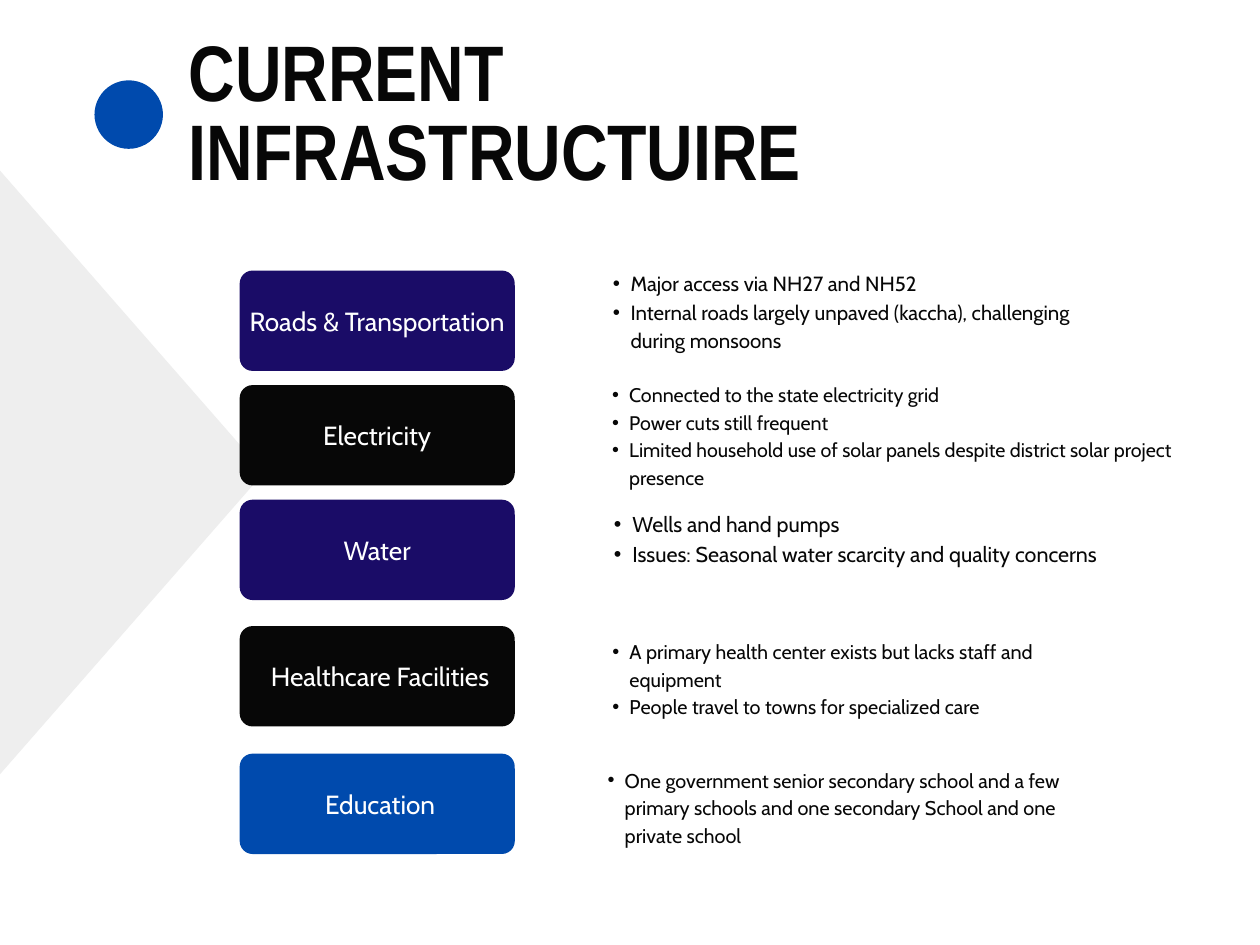
from dataclasses import dataclass

from lxml import etree
from pptx import Presentation
from pptx.dml.color import RGBColor
from pptx.enum.shapes import MSO_SHAPE
from pptx.enum.text import MSO_ANCHOR, PP_ALIGN
from pptx.oxml.ns import qn
from pptx.util import Pt

PX = 9144  # EMU per px, 100 px to the inch
SLIDE_WIDTH, SLIDE_HEIGHT = 1067, 800
ROUNDED, OVAL = MSO_SHAPE.ROUNDED_RECTANGLE, MSO_SHAPE.OVAL
MIDDLE, TOP = MSO_ANCHOR.MIDDLE, MSO_ANCHOR.TOP
CENTER, LEFT = PP_ALIGN.CENTER, PP_ALIGN.LEFT


@dataclass(frozen=True)
class Theme:
    ink: str = "070707"
    white: str = "FFFFFF"
    navy: str = "1A0C67"
    blue: str = "004AAD"
    pale: str = "EEEEEE"
    title_font: str = "Arial Narrow"
    body_font: str = "Cabin"
    title_size: float = 48
    label_size: float = 16
    label_leading: float = 1.2
    detail_leading: float = 1.4
    indent_per_point: float = 2.4  # px


THEME = Theme()
CARD_LEFT, CARD_WIDTH, CARD_HEIGHT, CARD_RADIUS = 203, 233, 85, 11

# label, label shift, fill, card top, detail box, detail size, details
TOPICS = [
    ("Roads & Transportation", 0, THEME.navy, 229, (504, 226, 434, 75), 12.5,
     ["Major access via NH27 and NH52",
      "Internal roads largely unpaved (kaccha), challenging during monsoons"]),
    ("Electricity", 0, THEME.ink, 326, (504, 321, 544, 90), 12,
     ["Connected to the state electricity grid",
      "Power cuts still frequent",
      "Limited household use of solar panels despite district solar project presence"]),
    ("Water", 0, THEME.navy, 423, (504, 429, 442, 76), 13.1,
     ["Wells and hand pumps",
      "Issues: Seasonal water scarcity and quality concerns"]),
    ("Healthcare Facilities", 5, THEME.ink, 530, (504, 538, 442, 67), 12.1,
     ["A primary health center exists but lacks staff and equipment",
      "People travel to towns for specialized care"]),
    ("Education", 5, THEME.blue, 638, (500, 647, 442, 90), 12.1,
     ["One government senior secondary school and a few primary schools "
      "and one secondary School and one private school"]),
]


def emu(box):
    return [round(length * PX) for length in box]


def paint(shape, color):
    shape.shadow.inherit = False
    shape.fill.solid()
    shape.fill.fore_color.rgb = RGBColor.from_string(color)
    shape.line.fill.background()


def set_frame(frame, anchor, left, top, right, bottom):
    formats = {"word_wrap": True, "vertical_anchor": anchor,
               "margin_left": left * PX, "margin_top": top * PX,
               "margin_right": right * PX, "margin_bottom": bottom * PX}
    for name, value in formats.items():
        setattr(frame, name, value)


def write(paragraph, text, leading, color, align=LEFT, **font_format):
    paragraph.alignment = align
    paragraph.line_spacing = Pt(leading)
    run = paragraph.add_run()
    run.text = text
    for name, value in font_format.items():
        setattr(run.font, name, value)
    run.font.color.rgb = RGBColor.from_string(color)


def add_bullet(paragraph, indent):
    paragraph.level = 1
    properties = paragraph._p.get_or_add_pPr()
    properties.set("marL", str(round(indent * PX)))
    properties.set("indent", str(-round(indent * PX / 2)))
    etree.SubElement(properties, qn("a:buFont")).set("typeface", "Arial")
    etree.SubElement(properties, qn("a:buChar")).set("char", "•")


def add_title(slide, box):
    frame = slide.shapes.add_textbox(*emu(box)).text_frame
    set_frame(frame, TOP, 0, 0, 0, 0)
    write(frame.paragraphs[0], "CURRENT INFRASTRUCTUIRE", THEME.title_size, THEME.ink,
          name=THEME.title_font, size=Pt(THEME.title_size), bold=True)


def add_arrowhead(slide, box):
    """Draw a right-pointing triangle with softened corners."""
    left, top, width, height = box
    middle = height / 2
    upper = [(0, 6), (3, 0), (10, 2), (width - 4, middle - 11)]
    lower = [(x, height - y) for x, y in reversed(upper)]
    outline = [(left + x, top + y) for x, y in upper + [(width, middle)] + lower]
    builder = slide.shapes.build_freeform(*outline[0], scale=PX)
    builder.add_line_segments(outline[1:], close=True)
    paint(builder.convert_to_shape(), THEME.pale)


def add_dot(slide, box):
    paint(slide.shapes.add_shape(OVAL, *emu(box)), THEME.blue)


def add_card(slide, box, label, shift, color):
    card = slide.shapes.add_shape(ROUNDED, *emu(box))
    card.adjustments[0] = CARD_RADIUS / box[3]
    paint(card, color)
    set_frame(card.text_frame, MIDDLE, 3 + shift, 3, 3, 3)
    write(card.text_frame.paragraphs[0], label, THEME.label_size * THEME.label_leading,
          THEME.white, CENTER, name=THEME.body_font, size=Pt(THEME.label_size))


def add_details(slide, box, size, details):
    frame = slide.shapes.add_textbox(*emu(box)).text_frame
    set_frame(frame, TOP, 0, 0, 0, 0)
    for index, detail in enumerate(details):
        paragraph = frame.add_paragraph() if index else frame.paragraphs[0]
        add_bullet(paragraph, size * THEME.indent_per_point)
        write(paragraph, detail, size * THEME.detail_leading, THEME.ink,
              name=THEME.body_font, size=Pt(size))


def main():
    presentation = Presentation()
    presentation.slide_width, presentation.slide_height = emu((SLIDE_WIDTH, SLIDE_HEIGHT))
    slide = presentation.slides.add_slide(presentation.slide_layouts[6])
    add_title(slide, (160, 33, 597, 137))
    add_arrowhead(slide, (-224, -102, 442, 1004))
    for label, shift, color, card_top, detail_box, size, details in TOPICS:
        add_details(slide, detail_box, size, details)
        add_card(slide, (CARD_LEFT, card_top, CARD_WIDTH, CARD_HEIGHT), label, shift, color)
    add_dot(slide, (80, 68, 58, 58))
    presentation.save("out.pptx")


if __name__ == "__main__":
    main()
